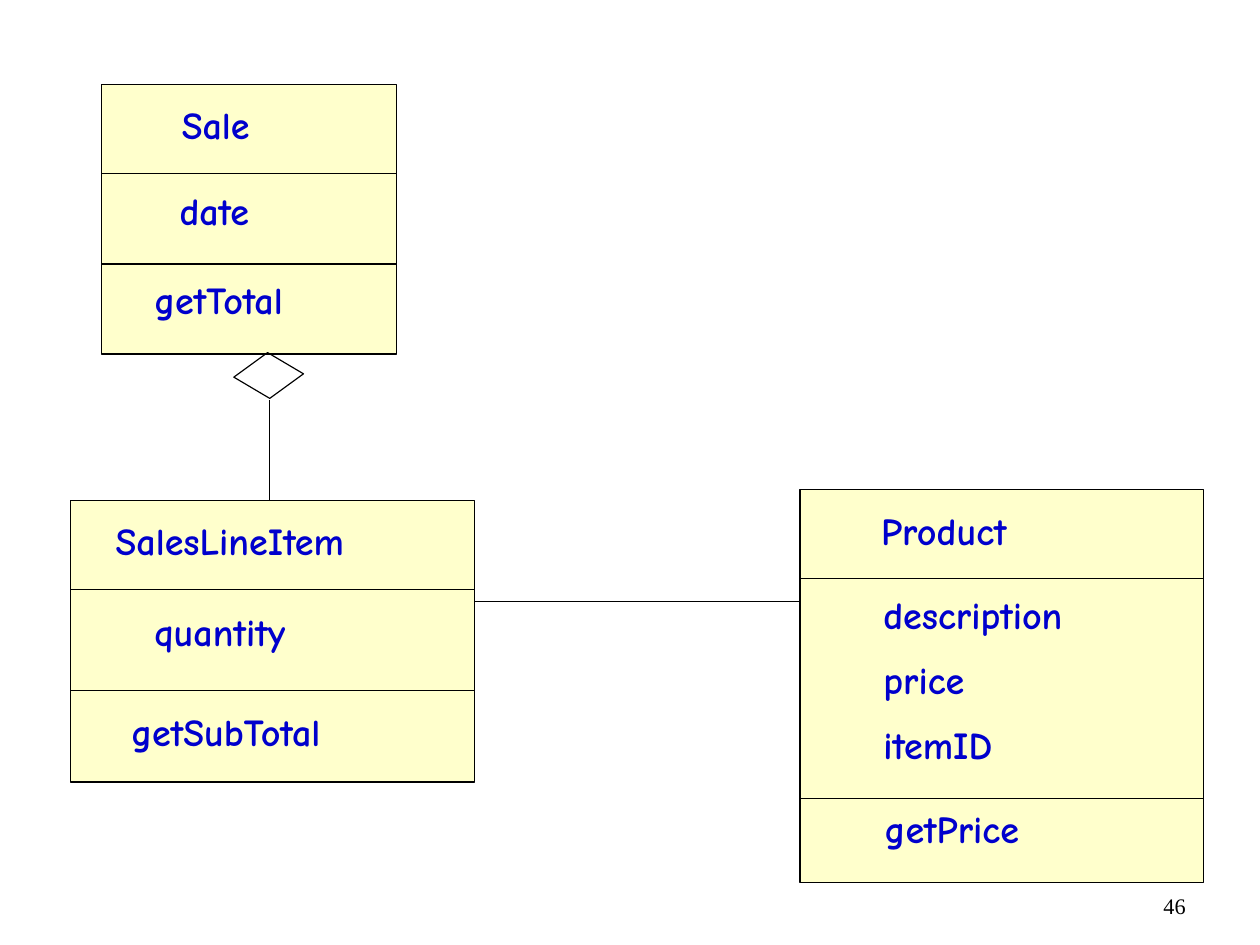
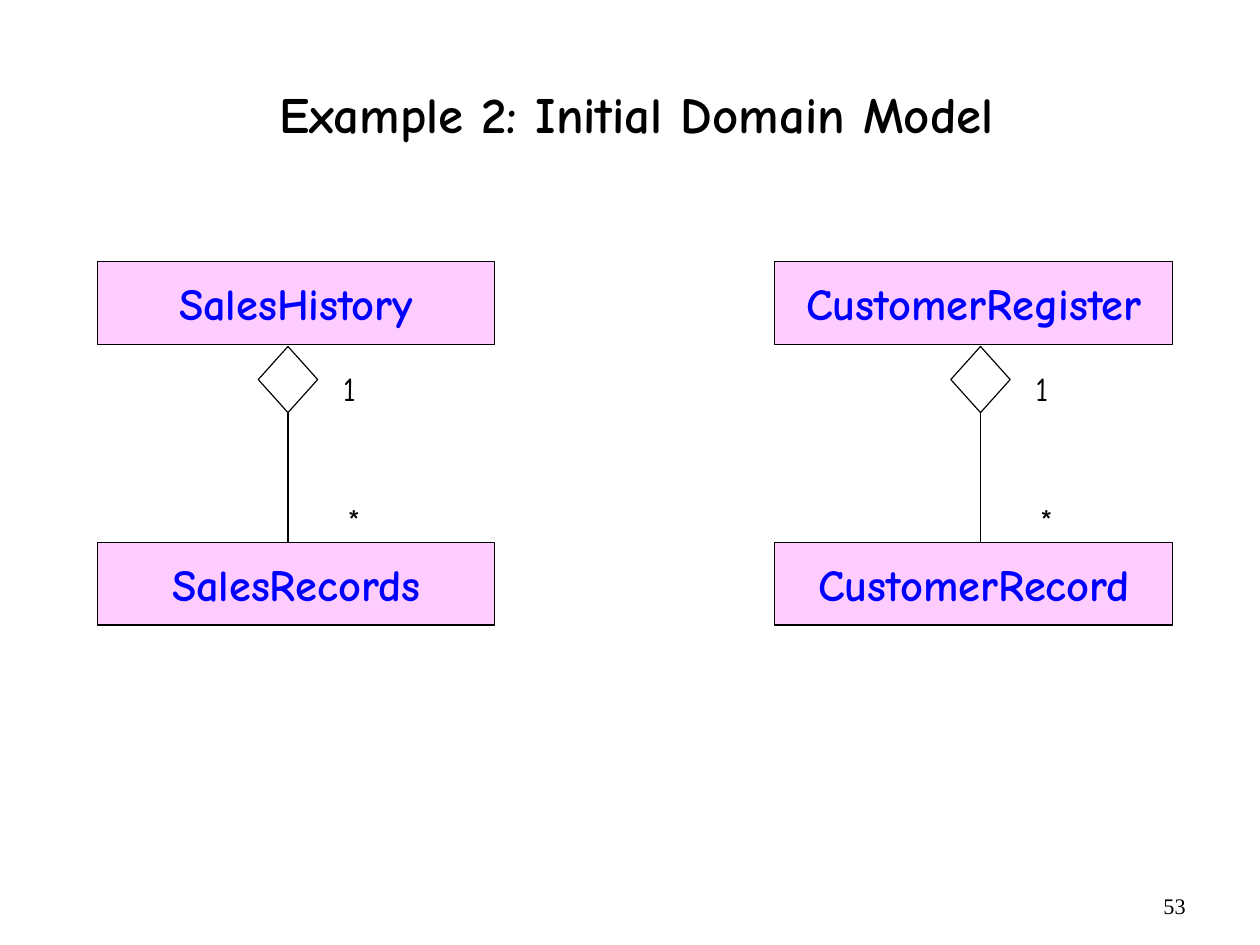
from lxml import etree
from pptx import Presentation
from pptx.dml.color import RGBColor
from pptx.enum.shapes import MSO_CONNECTOR, MSO_SHAPE
from pptx.enum.text import MSO_ANCHOR, MSO_AUTO_SIZE, PP_ALIGN
from pptx.oxml.ns import qn
from pptx.util import Cm, Pt

RECT, DIAMOND = MSO_SHAPE.RECTANGLE, MSO_SHAPE.DIAMOND
DECISION = MSO_SHAPE.FLOWCHART_DECISION
STRAIGHT = MSO_CONNECTOR.STRAIGHT
TOP, MIDDLE = MSO_ANCHOR.TOP, MSO_ANCHOR.MIDDLE
LEFT, CENTER, RIGHT = PP_ALIGN.LEFT, PP_ALIGN.CENTER, PP_ALIGN.RIGHT
NO_FIT = MSO_AUTO_SIZE.NONE
BOTTOM_SITE = 2
TITLE_ONLY, BLANK = 5, 6

BLACK = RGBColor(0x00, 0x00, 0x00)
CREAM = RGBColor(0xFF, 0xFF, 0xCC)
PINK = RGBColor(0xFF, 0xCC, 0xFF)
NAVY = RGBColor(0x00, 0x00, 0xCC)
BLUE = RGBColor(0x00, 0x00, 0xFF)
COMIC, TIMES = "Comic Neue", "Times New Roman"

# Text styles: font values, paragraph values, insets (horizontal, vertical) in cm
TITLE = dict(font=dict(name=COMIC, size=Pt(32), bold=True), color=BLACK,
             par=dict(alignment=CENTER, line_spacing=0.94, space_before=Pt(8.1)),
             inset=(0.05, 0.15), anchor=MIDDLE, wrap=True)
MEMBER = dict(font=dict(name=COMIC, size=Pt(24), bold=True), color=NAVY,
              par=dict(alignment=LEFT, space_before=Pt(6.1), space_after=Pt(6.1)),
              inset=(0.28, 0.15), anchor=TOP, wrap=False)
CONCEPT = dict(font=dict(name=COMIC, size=Pt(28), bold=True), color=BLUE,
               par=dict(alignment=CENTER, space_before=Pt(11.2)),
               inset=(0, 0), anchor=MIDDLE, wrap=True)
COUNT = dict(font=dict(name=COMIC, size=Pt(21)), color=BLACK,
             par=dict(alignment=LEFT), inset=(0.28, 0.15), anchor=TOP, wrap=False)
PAGE = dict(font=dict(name=TIMES, size=Pt(14)), color=BLACK,
            par=dict(alignment=RIGHT), inset=(0.25, 0.13), anchor=TOP, wrap=True)

# Page number: just below the lowest class box, in the same place on every slide
PAGE_BOX = (20.07, 19.7, 6.53, 0.9)

# Class boxes: left, width, the four compartment edges from top to bottom,
# then per compartment the lines and the text's left, top, width, height
CLASSES = [
    (2.26, 6.55, (1.88, 3.86, 5.87, 7.87), [
        (["Sale"], (3.76, 2.11, 2.06, 1.3)),
        (["date"], (3.71, 4.01, 2.13, 1.3)),
        (["getTotal"], (3.15, 5.99, 3.51, 1.3))]),
    (17.78, 8.97, (10.87, 12.85, 17.75, 19.61), [
        (["Product"], (19.3, 11.13, 3.35, 1.3)),
        (["description", "price", "itemID"], (19.35, 13, 4.55, 4.19)),
        (["getPrice"], (19.38, 17.75, 3.56, 1.3))]),
    (1.57, 8.97, (11.13, 13.11, 15.34, 17.38), [
        (["SalesLineItem"], (2.29, 11.35, 5.66, 1.3)),
        (["quantity"], (3.15, 13.36, 3.48, 1.3)),
        (["getSubTotal"], (2.64, 15.6, 4.85, 1.3))]),
]
CLASS_LINKS = [(10.54, 13.36, 17.78, 13.36), (5.99, 11.13, 5.99, 8.89)]
CLASS_DIAMOND = (5.46, 7.57, 1.02, 1.55)

# Aggregations: box left, axis of the link, whole, part
AGGREGATIONS = [(2.16, 6.4, "SalesHistory", "SalesRecords"),
                (17.22, 21.79, "CustomerRegister", "CustomerRecord")]
WHOLE_TOP, PART_TOP = 5.82, 12.06
CONCEPT_W, CONCEPT_H = 8.84, 1.83
DIAMOND_TOP, DIAMOND_W, DIAMOND_H = 7.7, 1.32, 1.47
COUNTS = [("1", 0.94, 8.03), ("*", 1.04, 10.97)]  # text, offset from axis, top


def apply(target, values):
    for name, value in values.items():
        setattr(target, name, value)


def write(sp, lines, style):
    tf = sp.text_frame
    h, v = (Cm(n) for n in style["inset"])
    apply(tf, dict(margin_left=h, margin_right=h, margin_top=v, margin_bottom=v,
                   vertical_anchor=style["anchor"], auto_size=NO_FIT,
                   word_wrap=style["wrap"]))
    for i, line in enumerate(lines):
        p = tf.add_paragraph() if i else tf.paragraphs[0]
        apply(p, style["par"])
        r = p.add_run()
        r.text = line
        apply(r.font, style["font"])
        r.font.color.rgb = style["color"]


def outline(sp):
    sp.line.color.rgb = BLACK
    sp.line.width = Pt(0.75)


def add_label(slide, box, lines, style):
    write(slide.shapes.add_textbox(*map(Cm, box)), lines, style)


def add_box(slide, kind, box, fill=None):
    """Outlined shape, see-through when no fill is given."""
    sp = slide.shapes.add_shape(kind, *map(Cm, box))
    sp.shadow.inherit = False
    if fill is None:
        sp.fill.background()
    else:
        sp.fill.solid()
        sp.fill.fore_color.rgb = fill
    outline(sp)
    return sp


def add_link(slide, ends):
    c = slide.shapes.add_connector(STRAIGHT, *map(Cm, ends))
    outline(c)
    etree.SubElement(c._element.spPr, qn("a:effectLst"))
    return c


def add_slide(prs, layout, number):
    slide = prs.slides.add_slide(prs.slide_layouts[layout])
    add_label(slide, PAGE_BOX, [number], PAGE)
    return slide


def build_class_diagram(prs):
    slide = add_slide(prs, BLANK, "46")
    for left, width, edges, members in CLASSES:
        top, upper, lower, bottom = edges
        add_box(slide, RECT, (left, top, width, bottom - top), CREAM)
        add_box(slide, RECT, (left, upper, width, lower - upper))
        for lines, box in members:
            add_label(slide, box, lines, MEMBER)
    for ends in CLASS_LINKS:
        add_link(slide, ends)
    add_box(slide, DECISION, CLASS_DIAMOND).rotation = 87.3


def build_domain_model(prs):
    slide = add_slide(prs, TITLE_ONLY, "53")
    title = slide.shapes.title
    apply(title, dict(left=Cm(2.26), top=Cm(0.79), width=Cm(23.8), height=Cm(3.61)))
    write(title, ["Example 2: Initial Domain Model"], TITLE)
    for left, axis, whole, part in AGGREGATIONS:
        for name, top in ((whole, WHOLE_TOP), (part, PART_TOP)):
            sp = add_box(slide, RECT, (left, top, CONCEPT_W, CONCEPT_H), PINK)
            write(sp, [name], CONCEPT)
        diamond = add_box(slide, DIAMOND, (axis - DIAMOND_W / 2, DIAMOND_TOP,
                                           DIAMOND_W, DIAMOND_H))
        link = add_link(slide, (axis, DIAMOND_TOP + DIAMOND_H, axis, PART_TOP))
        link.begin_connect(diamond, BOTTOM_SITE)
        for count, offset, top in COUNTS:
            add_label(slide, (axis + offset, top, 0.86, 1.17), [count], COUNT)


def main():
    prs = Presentation()
    prs.slide_width, prs.slide_height = Cm(28), Cm(21)
    build_class_diagram(prs)
    build_domain_model(prs)
    prs.save("out.pptx")


if __name__ == "__main__":
    main()
